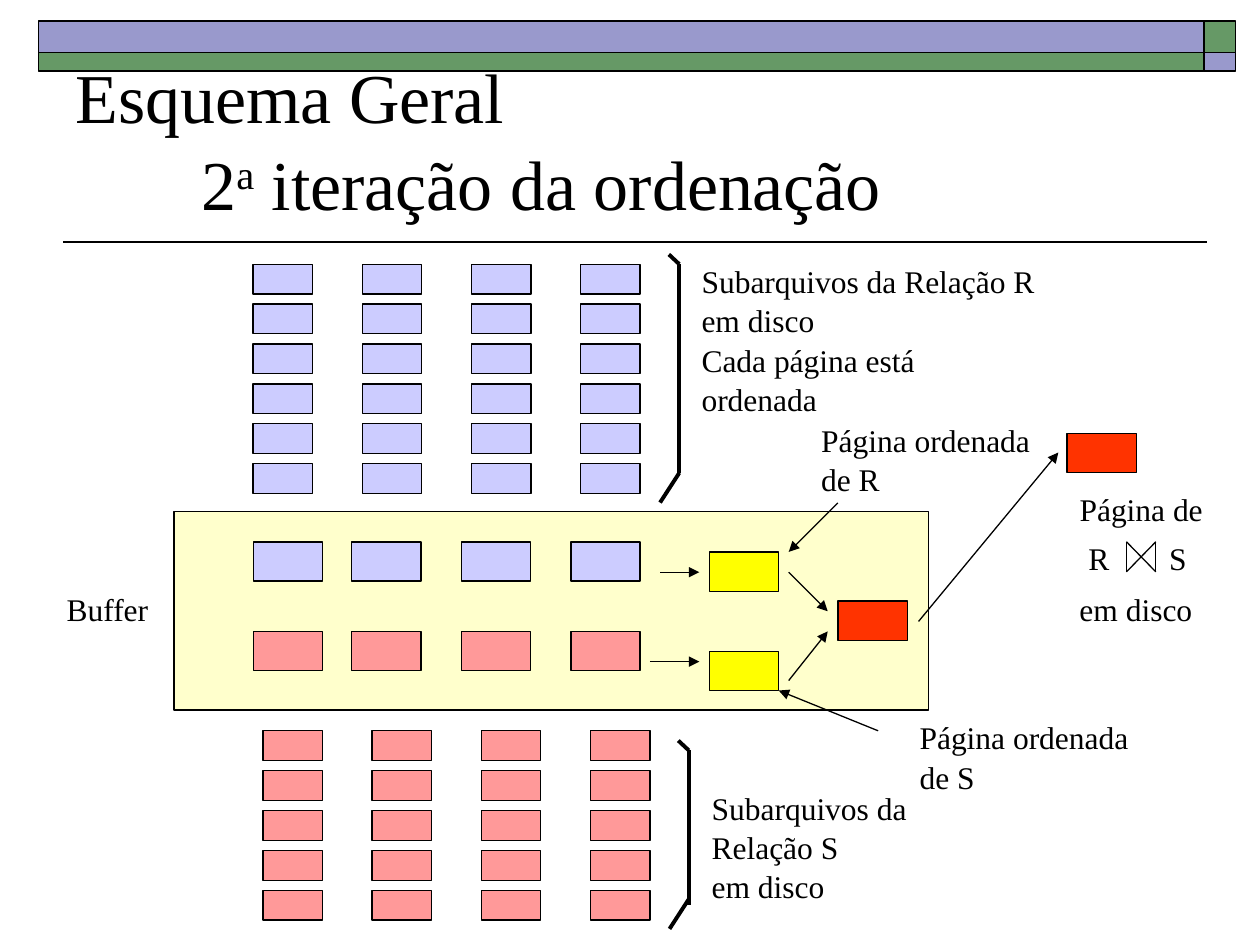
import pptx
import pptx.dml.color
import pptx.enum.shapes
import pptx.enum.text
import pptx.oxml
import pptx.oxml.ns
import pptx.util

Pt = pptx.util.Pt
RGBColor = pptx.dml.color.RGBColor

BLACK = RGBColor(0x00, 0x00, 0x00)
GREEN = RGBColor(0x66, 0x99, 0x66)
PURPLE = RGBColor(0x99, 0x99, 0xCC)
CREAM = RGBColor(0xFF, 0xFF, 0xCC)
LILAC = RGBColor(0xCC, 0xCC, 0xFF)
PINK = RGBColor(0xFF, 0x99, 0x99)
YELLOW = RGBColor(0xFF, 0xFF, 0x00)
RED = RGBColor(0xFF, 0x33, 0x00)

FRAME_FORMAT = {
    "word_wrap": True,
    "margin_left": Pt(7.2),
    "margin_right": Pt(7.2),
    "margin_top": Pt(3.6),
    "margin_bottom": Pt(3.6),
}
FONT_FORMAT = {"name": "Times New Roman", "size": Pt(18)}
PARAGRAPH_FORMAT = {"line_spacing": 1.04, "space_before": Pt(0), "space_after": Pt(0)}
PAGE_SIZE = (39.6, 22.4)
SMALL_PAGE_SIZE = (34, 17)


def apply_format(target, values):
    for name, value in values.items():
        setattr(target, name, value)


def add_rectangle(slide, left, top, width, height, color, weight=0.75):
    shape = slide.shapes.add_shape(
        pptx.enum.shapes.MSO_SHAPE.RECTANGLE, Pt(left), Pt(top), Pt(width), Pt(height)
    )
    shape.shadow.inherit = False
    shape.fill.solid()
    shape.fill.fore_color.rgb = color
    shape.line.color.rgb = BLACK
    shape.line.width = Pt(weight)


def add_line(slide, start, end, weight=0.75, arrow=False):
    connector = slide.shapes.add_connector(
        pptx.enum.shapes.MSO_CONNECTOR.STRAIGHT, *(Pt(value) for value in (*start, *end))
    )
    connector.line.color.rgb = BLACK
    connector.line.width = Pt(weight)
    properties = connector._element.spPr
    if arrow:
        tail = pptx.oxml.parse_xml(
            f'<a:tailEnd {pptx.oxml.ns.nsdecls("a")} type="triangle"/>'
        )
        properties.find(pptx.oxml.ns.qn("a:ln")).append(tail)
    properties.append(pptx.oxml.parse_xml(f'<a:effectLst {pptx.oxml.ns.nsdecls("a")}/>'))


def add_arrow(slide, left, top, start, end):
    add_line(
        slide,
        (left + start[0], top + start[1]),
        (left + end[0], top + end[1]),
        arrow=True,
    )


def add_text(slide, left, top, width, *lines):
    height = 7.2 + 21.6 * len(lines)
    shape = slide.shapes.add_textbox(Pt(left), Pt(top), Pt(width), Pt(height))
    frame = shape.text_frame
    apply_format(frame, FRAME_FORMAT)
    frame.text = "\n".join(lines)
    for paragraph in frame.paragraphs:
        apply_format(paragraph, PARAGRAPH_FORMAT)
        apply_format(paragraph.font, FONT_FORMAT)
        paragraph.font.color.rgb = BLACK
    return shape


def add_header(slide, left, top):
    for row_top, height, colors in (
        (0, 18, (PURPLE, GREEN)),
        (18, 10.8, (GREEN, PURPLE)),
    ):
        for column_left, width, color in zip((0, 666), (666, 18), colors):
            add_rectangle(
                slide, left + column_left, top + row_top, width, height, color, 1
            )


def add_title(slide, left, top, width, height):
    add_line(slide, (left, top + height + 6.4), (left + 654, top + height + 6.4), 1)
    shape = add_text(slide, left, top, width, "")
    shape.height = Pt(height)
    frame = shape.text_frame
    frame.vertical_anchor = pptx.enum.text.MSO_ANCHOR.BOTTOM
    paragraph = frame.paragraphs[0]
    tabs = pptx.oxml.parse_xml(
        f'<a:tabLst {pptx.oxml.ns.nsdecls("a")}>'
        f'<a:tab pos="{Pt(72)}" algn="l"/></a:tabLst>'
    )
    paragraph._p.get_or_add_pPr().insert_element_before(tabs, "a:defRPr", "a:extLst")
    paragraph.add_run().text = "Esquema Geral"
    paragraph.add_line_break()
    for text in ("\t2", "a", " iteração da ordenação"):
        paragraph.add_run().text = text
    for run in paragraph.runs:
        apply_format(run.font, {**FONT_FORMAT, "size": Pt(40)})
        run.font.color.rgb = BLACK
    paragraph.runs[2]._r.get_or_add_rPr().set("baseline", "30000")


def add_page_grid(slide, left, top, rows, color):
    for column in range(4):
        for row in range(rows):
            add_rectangle(
                slide, left + 62.4 * column, top + 22.8 * row, *SMALL_PAGE_SIZE, color
            )


def add_bracket(slide, left, top, height, overhang=0):
    spine = left + 11
    upper = top + 5.6
    lower = top + height - 17
    for start, end in (
        ((spine - 6, top), (spine, upper)),
        ((spine, upper), (spine, lower + overhang)),
        ((spine, lower), (left, top + height)),
    ):
        add_line(slide, start, end, 2.25)


def add_buffer(slide, left, top, width, height):
    add_rectangle(slide, left, top, width, height, CREAM)
    add_text(slide, left - 68.4, top + 40.3, 66, "Buffer")
    for row_top, color in ((17.3, LILAC), (68.4, PINK)):
        for column_left in (45.3, 101.6, 164.2, 226.8):
            add_rectangle(slide, left + column_left, top + row_top, *PAGE_SIZE, color)
    for page_left, page_top, color in (
        (306, 23.1, YELLOW),
        (306, 79.9, YELLOW),
        (379.4, 51.1, RED),
    ):
        add_rectangle(slide, left + page_left, top + page_top, *PAGE_SIZE, color)
    for start, end in (
        ((278, 34.6), (300.2, 34.6)),
        ((272, 85.7), (300.2, 85.7)),
        ((351.3, 34.6), (373.6, 56.9)),
        ((351.3, 96.5), (373.6, 68.4)),
        ((425.5, 62.7), (505.4, -33.8)),
    ):
        add_arrow(slide, left, top, start, end)


def add_callout(slide, left, top, relation, start, end):
    add_text(slide, left, top, 136, "Página ordenada", f"de {relation}")
    add_arrow(slide, left, top, start, end)


def add_result(slide, left, top):
    add_rectangle(slide, left, top, *PAGE_SIZE, RED)
    add_text(slide, left, top + 28.1, 85, "Página de")
    add_text(slide, left + 5.1, top + 56.1, 28, "R")
    add_text(slide, left + 51.2, top + 56.1, 28, "S")
    add_text(slide, left, top + 85, 80, "em disco")
    west, east = left + 33.9, left + 50.7
    north, south = top + 61.9, top + 79.1
    for start, end in (
        ((west, north), (west, south)),
        ((east, north), (east, south)),
        ((west, north), (east, south)),
        ((west, south), (east, north)),
    ):
        add_line(slide, start, end)


def main():
    presentation = pptx.Presentation()
    presentation.slide_width = Pt(720)
    presentation.slide_height = Pt(540)
    slide = presentation.slides.add_slide(presentation.slide_layouts[6])
    add_header(slide, 22, 12)
    add_title(slide, 36, 41.8, 648, 90)
    add_buffer(slide, 99.4, 292.4, 431.2, 113.4)
    add_page_grid(slide, 144.6, 151, 6, LILAC)
    add_page_grid(slide, 150.2, 417.6, 5, PINK)
    add_bracket(slide, 377.2, 145.4, 141.8)
    add_bracket(slide, 382.6, 423.2, 107.6, 3.6)
    add_text(
        slide, 393.8, 145.4, 209.5,
        "Subarquivos da Relação R", "em disco", "Cada página está", "ordenada",
    )
    add_text(slide, 399.6, 446.4, 130.4, "Subarquivos da", "Relação S", "em disco")
    add_callout(slide, 462.2, 236.2, "R", (16.6, 51.2), (-11.5, 79.2))
    add_callout(slide, 518.4, 406.1, "S", (-16.6, 11.5), (-73.4, -11.5))
    add_result(slide, 609.8, 247.7)
    presentation.save("out.pptx")


if __name__ == "__main__":
    main()
